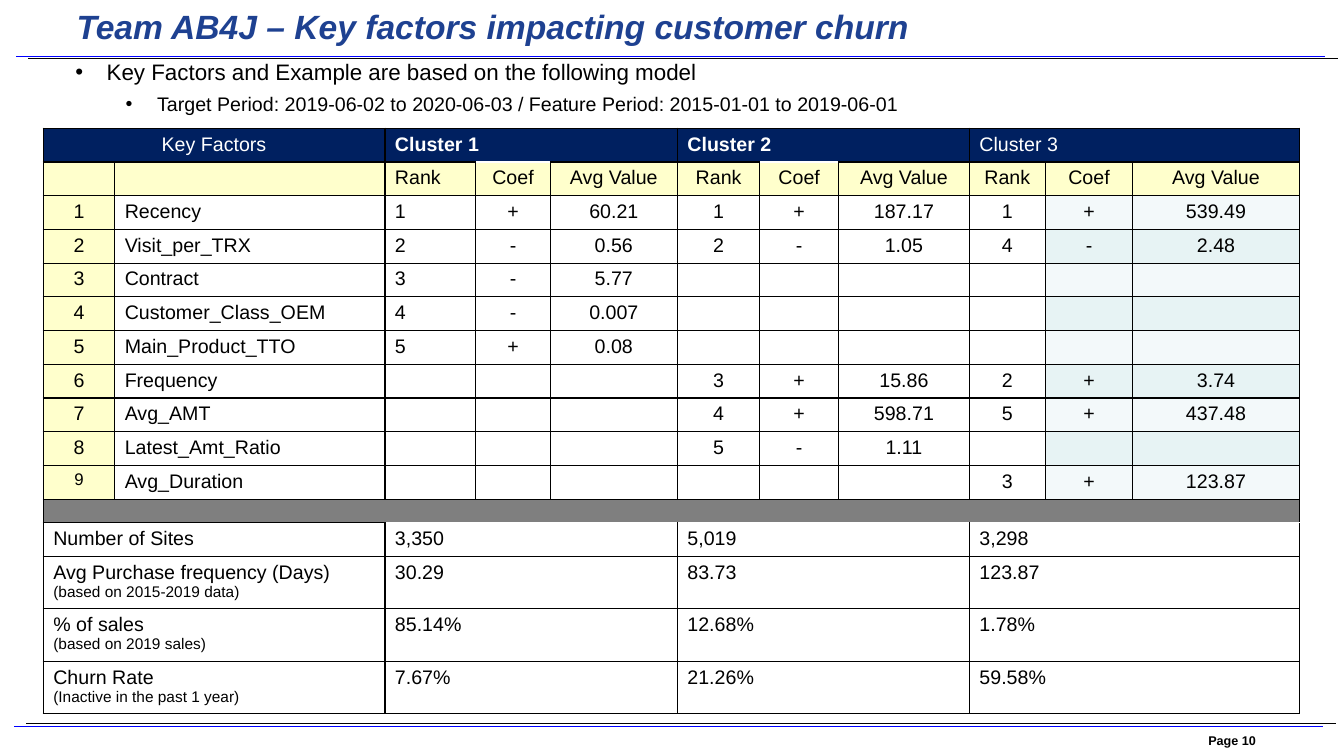
from dataclasses import dataclass

from lxml.etree import SubElement
from pptx import Presentation
from pptx.dml.color import RGBColor
from pptx.enum.text import MSO_ANCHOR, PP_ALIGN
from pptx.oxml.ns import qn
from pptx.util import Cm, Pt


@dataclass(frozen=True)
class Theme:
    font: str = "Arial"
    black: str = "000000"
    white: str = "FFFFFF"
    title: str = "1E4191"
    rule: str = "0000FF"
    header: str = "002060"
    label: str = "FFFFCC"
    divider: str = "7F7F7F"
    stripes: tuple = ("F3F9FA", "E7F3F4")
    title_size: float = 24
    lead_size: float = 16
    body_size: float = 14
    small_size: float = 12
    note_size: float = 11
    page_size: float = 9
    divider_size: float = 8


T = Theme()

RULES = [  # left, right, y, colour
    (0.36, 33.35, 18.31, T.rule),
    (0.66, 33.68, 18.24, T.black),
    (0.41, 33.4, 1.42, T.rule),
    (0.71, 33.73, 1.47, T.black),
]
COL_WIDTHS = [1.8, 6.81, 2.29, 1.88, 3.2, 2.08, 1.98, 3.3, 1.91, 2.21, 4.19]
ROW_HEIGHT, DIVIDER_HEIGHT, NOTED_HEIGHT = 0.85, 0.58, 1.32
CLUSTER_COLS = (2, 5, 8)
CLUSTERS = [("Cluster 1", True), ("Cluster 2", True), ("Cluster 3", False)]
MEASURES = ("Rank", "Coef", "Avg Value")
BLANK = ("", "", "")
FACTORS = [  # name, then rank, coefficient and average for each cluster
    ("Recency", ("1", "+", "60.21"), ("1", "+", "187.17"), ("1", "+", "539.49")),
    ("Visit_per_TRX", ("2", "-", "0.56"), ("2", "-", "1.05"), ("4", "-", "2.48")),
    ("Contract", ("3", "-", "5.77"), BLANK, BLANK),
    ("Customer_Class_OEM", ("4", "-", "0.007"), BLANK, BLANK),
    ("Main_Product_TTO", ("5", "+", "0.08"), BLANK, BLANK),
    ("Frequency", BLANK, ("3", "+", "15.86"), ("2", "+", "3.74")),
    ("Avg_AMT", BLANK, ("4", "+", "598.71"), ("5", "+", "437.48")),
    ("Latest_Amt_Ratio", BLANK, ("5", "-", "1.11"), BLANK),
    ("Avg_Duration", BLANK, BLANK, ("3", "+", "123.87")),
]
SUMMARY = [  # label, note, value for each cluster
    ("Number of Sites", "", ("3,350", "5,019", "3,298")),
    ("Avg Purchase frequency (Days)", "(based on 2015-2019 data)",
     ("30.29", "83.73", "123.87")),
    ("% of sales", "(based on 2019 sales)", ("85.14%", "12.68%", "1.78%")),
    ("Churn Rate", "(Inactive in the past 1 year)", ("7.67%", "21.26%", "59.58%")),
]


def add_run(p, text, size, color=T.black, bold=False, italic=False):
    r = p.add_run()
    r.text = text
    r.font.name = T.font
    r.font.size = Pt(size)
    r.font.bold = bold
    r.font.italic = italic
    r.font.color.rgb = RGBColor.from_string(color)


def add_text_box(slide, left, top, width, height, anchor=MSO_ANCHOR.TOP):
    sp = slide.shapes.add_textbox(Cm(left), Cm(top), Cm(width), Cm(height))
    tf = sp.text_frame
    tf.word_wrap = True
    tf.vertical_anchor = anchor
    return tf


def add_rule(slide, left, right, y, color):
    line = slide.shapes.add_connector(1, Cm(left), Cm(y), Cm(right), Cm(y))
    line.line.color.rgb = RGBColor.from_string(color)
    line.line.width = Pt(0.75)
    SubElement(line._element.spPr, qn("a:effectLst"))


def set_bullet(p, left, hanging):
    pPr = p._p.get_or_add_pPr()
    pPr.set("marL", str(Cm(left)))
    pPr.set("indent", str(-Cm(hanging)))
    SubElement(pPr, qn("a:buFont"), typeface=T.font)
    SubElement(pPr, qn("a:buChar"), char="•")


def style_cell(cell, fill, top=T.black):
    """Draw the four borders, then the fill."""
    tcPr = cell._tc.get_or_add_tcPr()
    for side in ("lnL", "lnR", "lnT", "lnB"):
        ln = SubElement(tcPr, qn(f"a:{side}"), w=str(Pt(1)))
        paint = SubElement(ln, qn("a:solidFill"))
        SubElement(paint, qn("a:srgbClr"), val=top if side == "lnT" else T.black)
    cell.fill.solid()
    cell.fill.fore_color.rgb = RGBColor.from_string(fill)


def fill_cell(cell, text, size=T.body_size, centred=False, **run_style):
    p = cell.text_frame.paragraphs[0]
    if centred:
        p.alignment = PP_ALIGN.CENTER
    if text:
        add_run(p, text, size, **run_style)
    else:
        SubElement(p._p, qn("a:endParaRPr"), sz=str(int(size * 100)))


def merge_across(table, row, first, last):
    table.cell(row, first).merge(table.cell(row, last))


def add_header_rows(table):
    for col in range(len(COL_WIDTHS)):
        style_cell(table.cell(0, col), T.header)
        top = T.white if col in (3, 6) else T.black
        style_cell(table.cell(1, col), T.label, top)
    merge_across(table, 0, 0, 1)
    fill_cell(table.cell(0, 0), "Key Factors", centred=True, color=T.white)
    for col in (0, 1):
        fill_cell(table.cell(1, col), "")
    for first, (name, bold) in zip(CLUSTER_COLS, CLUSTERS):
        merge_across(table, 0, first, first + 2)
        fill_cell(table.cell(0, first), name, color=T.white, bold=bold)
        for col, measure in enumerate(MEASURES, first):
            fill_cell(table.cell(1, col), measure, centred=col > 2)


def add_factor_row(table, row, number, name, clusters):
    values = [str(number), name, *(v for cluster in clusters for v in cluster)]
    for col, value in enumerate(values):
        cell = table.cell(row, col)
        fill = T.white
        if col == 0:
            fill = T.label
        elif col > 8:
            fill = T.stripes[(number - 1) % 2]
        style_cell(cell, fill)
        size = T.small_size if value == "9" else T.body_size
        fill_cell(cell, value, size, centred=col not in (1, 2))


def add_divider_row(table, row):
    last = len(COL_WIDTHS) - 1
    for col in range(last + 1):
        style_cell(table.cell(row, col), T.divider)
        fill_cell(table.cell(row, col), "", T.divider_size)
    merge_across(table, row, 0, last)


def add_summary_row(table, row, label, note, values):
    for col in range(len(COL_WIDTHS)):
        top = T.white if not note and col > 1 else T.black
        style_cell(table.cell(row, col), T.white, top)
    merge_across(table, row, 0, 1)
    fill_cell(table.cell(row, 0), label)
    if note:
        add_run(table.cell(row, 0).text_frame.add_paragraph(), note, T.note_size)
    for first, value in zip(CLUSTER_COLS, values):
        merge_across(table, row, first, first + 2)
        fill_cell(table.cell(row, first), value)


def add_factor_table(slide):
    heights = [ROW_HEIGHT] * (2 + len(FACTORS)) + [DIVIDER_HEIGHT]
    heights += [NOTED_HEIGHT if note else ROW_HEIGHT for _, note, _ in SUMMARY]
    table = slide.shapes.add_table(len(heights), len(COL_WIDTHS), Cm(1.09), Cm(3.23),
                                   Cm(sum(COL_WIDTHS)), Cm(sum(heights))).table
    table.first_row = table.horz_banding = False
    for column, width in zip(table.columns, COL_WIDTHS):
        column.width = Cm(width)
    for row, height in zip(table.rows, heights):
        row.height = Cm(height)
    add_header_rows(table)
    for number, (name, *clusters) in enumerate(FACTORS, 1):
        add_factor_row(table, number + 1, number, name, clusters)
    divider = 2 + len(FACTORS)
    add_divider_row(table, divider)
    for row, entry in enumerate(SUMMARY, divider + 1):
        add_summary_row(table, row, *entry)


def main():
    prs = Presentation()
    prs.slide_width, prs.slide_height = Cm(33.87), Cm(19.05)
    slide = prs.slides.add_slide(prs.slide_layouts[6])
    for rule in RULES:
        add_rule(slide, *rule)
    tf = add_text_box(slide, 30.2, 18.34, 3.8, 0.66, MSO_ANCHOR.MIDDLE)
    add_run(tf.paragraphs[0], "Page 10", T.page_size, bold=True)
    tf = add_text_box(slide, 1.68, 0, 30.56, 1.32, MSO_ANCHOR.MIDDLE)
    add_run(tf.paragraphs[0], "Team AB4J – Key factors impacting customer churn",
            T.title_size, T.title, bold=True, italic=True)
    add_factor_table(slide)
    tf = add_text_box(slide, 1.65, 1.34, 29.82, 1.7)
    p = tf.paragraphs[0]
    set_bullet(p, 0.79, 0.79)
    add_run(p, "Key Factors and Example are based on the following model", T.lead_size)
    p = tf.add_paragraph()
    p.level = 1
    p.space_before = Pt(5)
    set_bullet(p, 2.06, 0.79)
    add_run(p, "Target Period: 2019-06-02 to 2020-06-03 / "
               "Feature Period: 2015-01-01 to 2019-06-01", T.body_size)
    prs.save("out.pptx")


if __name__ == "__main__":
    main()
